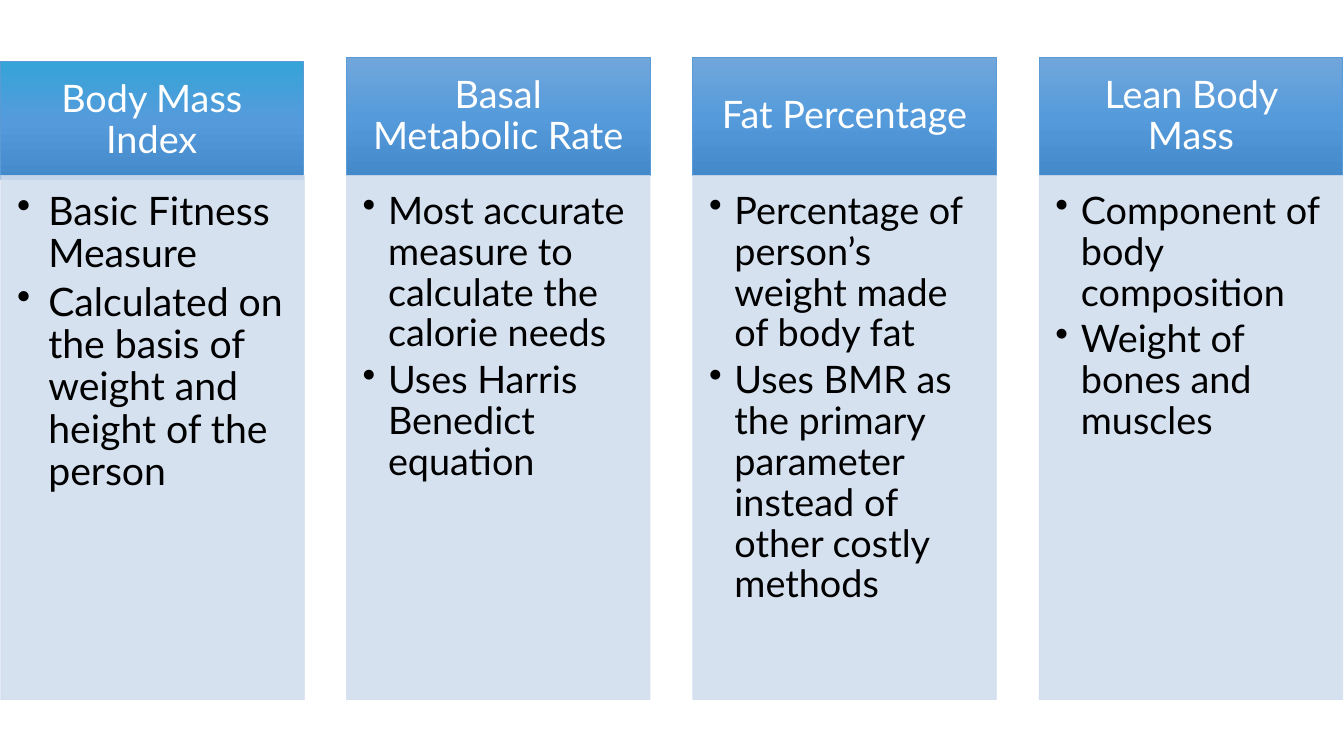
from lxml.etree import SubElement
from pptx import Presentation
from pptx.dml.color import RGBColor
from pptx.enum.shapes import MSO_SHAPE
from pptx.enum.text import MSO_ANCHOR, PP_ALIGN
from pptx.oxml import parse_xml
from pptx.oxml.ns import nsdecls, qn
from pptx.util import Cm, Pt

WHITE = RGBColor(0xFF, 0xFF, 0xFF)
BLACK = RGBColor(0x00, 0x00, 0x00)
CYAN = RGBColor(0x35, 0xA4, 0xD8)
LIGHT = RGBColor(0x71, 0xA6, 0xDB)
MID = RGBColor(0x55, 0x9B, 0xDB)
DARK = RGBColor(0x44, 0x8A, 0xCA)
EDGE = RGBColor(0x5B, 0x9B, 0xD5)
PALE = RGBColor(0xD2, 0xDE, 0xEF)

# Column layout in cm
WIDTH, PITCH = 7.65, 8.73
BODY_TOP, BODY_TALL = 4.42, 13.21
HEAD_TALL = 2.97

# Title, header top, header top colour, body left nudge, body size, bullet indent, bullets
COLUMNS = [
    ("Body Mass Index", 1.55, CYAN, 0.02, 28, 0.79,
     ["Basic Fitness Measure",
      "Calculated on the basis of weight and height of the person"]),
    ("Basal Metabolic Rate", 1.45, LIGHT, 0, 27, 0.64,
     ["Most accurate measure to calculate the calorie needs",
      "Uses Harris Benedict equation"]),
    ("Fat Percentage", 1.45, LIGHT, 0, 27, 0.64,
     ["Percentage of person’s weight made of body fat",
      "Uses BMR as the primary parameter instead of other costly methods"]),
    ("Lean Body Mass", 1.45, LIGHT, 0, 27, 0.64,
     ["Component of body composition",
      "Weight of bones and muscles"]),
]


class Deck:
    font = "Lato"

    def __init__(self):
        self.prs = Presentation()
        self.prs.slide_width, self.prs.slide_height = Cm(33.87), Cm(19.05)
        self.slide = self.prs.slides.add_slide(self.prs.slide_layouts[6])

    def box(self, left, top, tall, edge, pads):
        """Add a rectangle with a thin edge and the given text insets."""
        box = self.slide.shapes.add_shape(
            MSO_SHAPE.RECTANGLE, Cm(left), Cm(top), Cm(WIDTH), Cm(tall))
        box.shadow.inherit = False
        box.line.color.rgb = edge
        box.line.width = Pt(0.5)
        frame = box.text_frame
        frame.word_wrap = True
        (frame.margin_left, frame.margin_top,
         frame.margin_right, frame.margin_bottom) = map(Cm, pads)
        return box

    def label(self, para, text, size, color, align):
        para.text = text
        para.alignment = align
        para.line_spacing = 0.9
        para.font.name = self.font
        para.font.size = Pt(size)
        para.font.color.rgb = color

    def header(self, left, top, text, start):
        box = self.box(left, top, HEAD_TALL, EDGE, (0.53, 0.3, 0.53, 0.3))
        # Three-stop vertical gradient
        stops = "".join(
            f'<a:gs pos="{pos}"><a:srgbClr val="{color}"/></a:gs>'
            for pos, color in ((0, start), (50000, MID), (100000, DARK)))
        box.fill.background()
        props = box.element.spPr
        blank = props.find(qn("a:noFill"))
        props.replace(blank, parse_xml(
            f'<a:gradFill {nsdecls("a")} rotWithShape="1"><a:gsLst>{stops}</a:gsLst>'
            '<a:lin ang="5400000" scaled="0"/></a:gradFill>'))
        box.text_frame.vertical_anchor = MSO_ANCHOR.MIDDLE
        self.label(box.text_frame.paragraphs[0], text, 27, WHITE, PP_ALIGN.CENTER)

    def body(self, left, items, size, indent):
        box = self.box(left, BODY_TOP, BODY_TALL, PALE, (0.41, 0.41, 0.54, 0.61))
        box.fill.solid()
        box.fill.fore_color.rgb = PALE
        # Fill and edge at 90% opacity
        for color in box.element.spPr.iter(qn("a:srgbClr")):
            SubElement(color, qn("a:alpha"), val="90000")
        frame = box.text_frame
        frame.vertical_anchor = MSO_ANCHOR.TOP
        for i, item in enumerate(items):
            para = frame.add_paragraph() if i else frame.paragraphs[0]
            self.label(para, item, size, BLACK, PP_ALIGN.LEFT)
            para.level = 1
            # Hanging bullet, with spacing relative to the text size
            props = para._p.get_or_add_pPr()
            props.set("marL", str(Cm(indent)))
            props.set("indent", str(-Cm(indent)))
            after = parse_xml(
                f'<a:spcAft {nsdecls("a")}><a:spcPct val="15000"/></a:spcAft>')
            bullet = parse_xml(f'<a:buChar {nsdecls("a")} char="•"/>')
            props.find(qn("a:lnSpc")).addnext(after)
            after.addnext(bullet)


def main():
    deck = Deck()
    for i, (title, top, start, nudge, size, indent, items) in enumerate(COLUMNS):
        left = i * PITCH
        deck.header(left, top, title, start)
        deck.body(left + nudge, items, size, indent)
    deck.prs.save("out.pptx")


if __name__ == "__main__":
    main()
